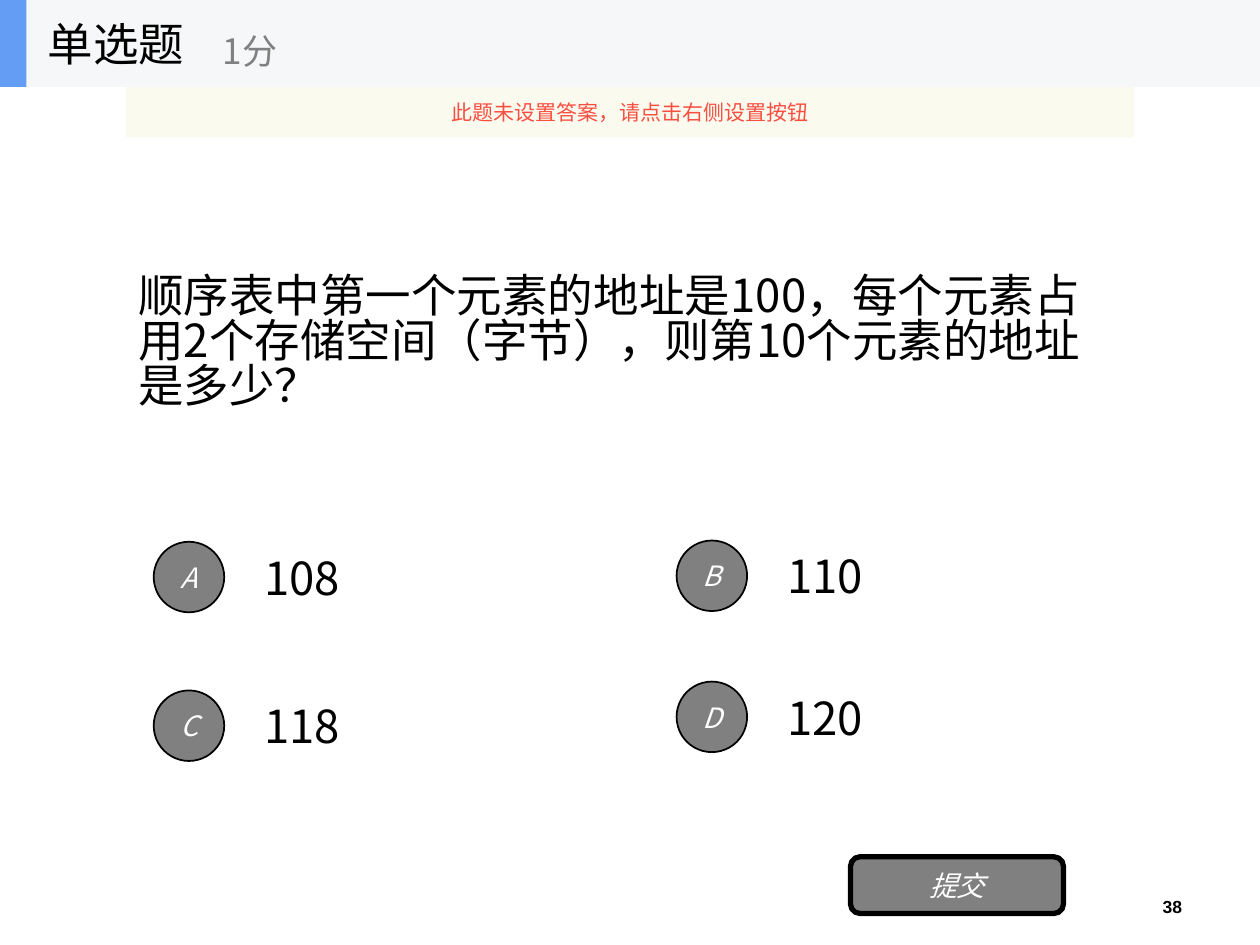
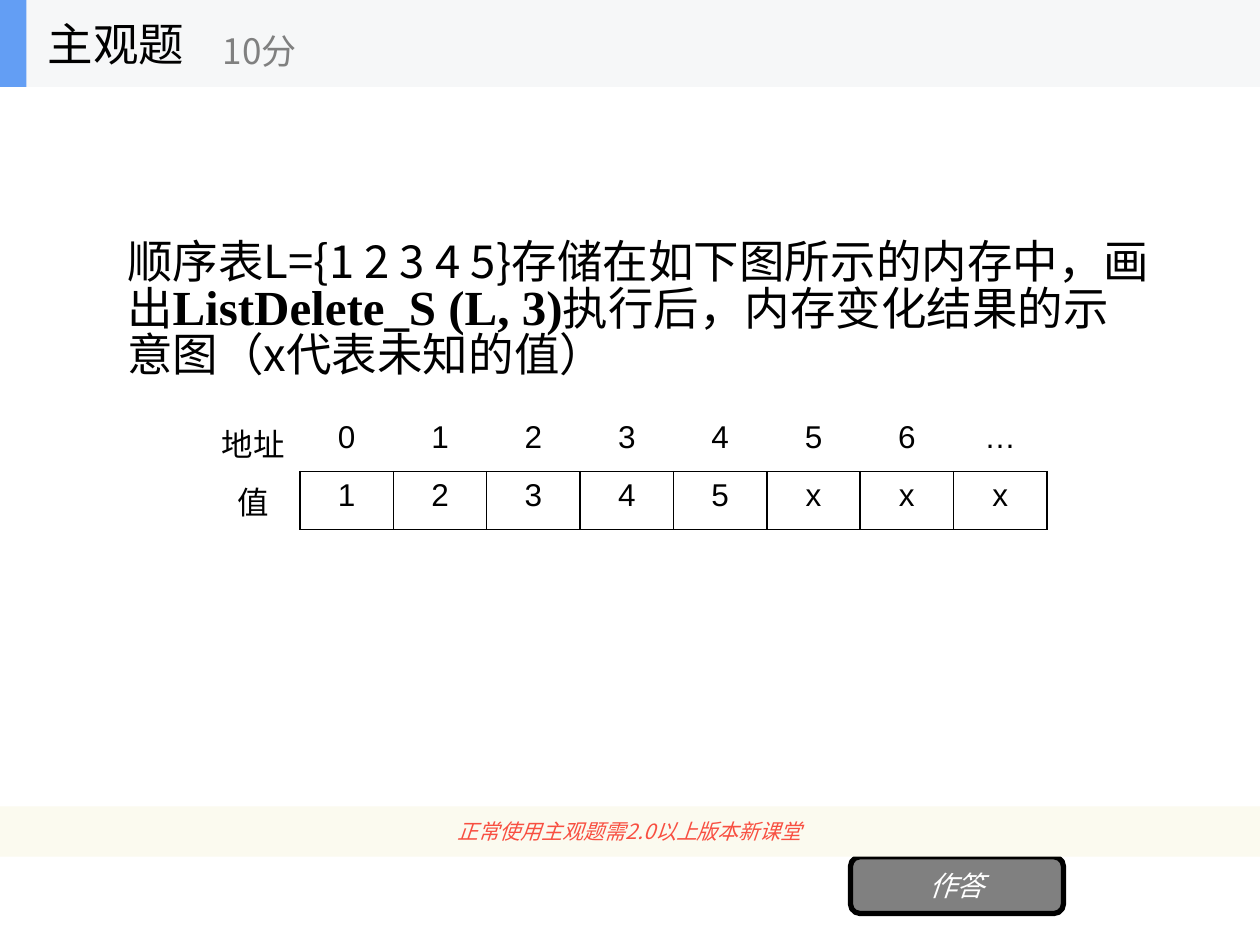
import pptx
import pptx.util
import pptx.dml.color
import pptx.enum.shapes
import pptx.enum.text
import pptx.oxml.ns
import lxml.etree

Inches, Pt = pptx.util.Inches, pptx.util.Pt
RGBColor = pptx.dml.color.RGBColor
SHAPE = pptx.enum.shapes.MSO_SHAPE
ALIGN = pptx.enum.text.PP_ALIGN
ANCHOR = pptx.enum.text.MSO_ANCHOR
qn = pptx.oxml.ns.qn

CJK, LATIN, SERIF = "Noto Sans CJK SC", "Arial", "Times New Roman"
BLACK = RGBColor(0x00, 0x00, 0x00)
WHITE = RGBColor(0xFF, 0xFF, 0xFF)
GREY = RGBColor(0x80, 0x80, 0x80)
BAND = RGBColor(0xF6, 0xF7, 0xF8)
ACCENT = RGBColor(0x63, 0x9E, 0xF4)
CREAM = RGBColor(0xFB, 0xFA, 0xEF)
RED = RGBColor(0xF8, 0x4F, 0x41)

BODY = {"name": CJK, "size": Pt(26), "color": BLACK}
CODE = {"name": SERIF, "size": Pt(28), "color": BLACK, "bold": True}
POINTS = {"name": CJK, "size": Pt(20), "color": GREY}
BUTTON = {"name": CJK, "size": Pt(16), "color": WHITE, "italic": True}
NOTICE = {"name": CJK, "size": Pt(12), "color": RED}
NUMBER = {"name": LATIN, "size": Pt(10), "color": BLACK, "bold": True}
CELL = {"name": LATIN, "size": Pt(18), "color": BLACK}
BODY_SPACING = 0.82

CHOICE = {
    "title": "单选题",
    "points": "1分",
    "question": [("顺序表中第一个元素的地址是100，每个元素占用2个存储空间（字节），"
                  "则第10个元素的地址是多少？", BODY)],
    "notice": "此题未设置答案，请点击右侧设置按钮",
    "button": "提交",
    "number": "38",
}
# letter, answer, left and top of the circle
OPTIONS = [
    ("A", "108", 1.22, 4.30),
    ("B", "110", 5.37, 4.29),
    ("C", "118", 1.22, 5.48),
    ("D", "120", 5.37, 5.41),
]
ESSAY = {
    "title": "主观题",
    "points": "10分",
    "question": [("顺序表L={1 2 3 4 5}存储在如下图所示的内存中，画出", BODY),
                 ("ListDelete_S (L, 3)", CODE),
                 ("执行后，内存变化结果的示意图（x代表未知的值）", BODY)],
    "notice": "正常使用主观题需2.0以上版本新课堂",
    "button": "作答",
}
MEMORY = [
    ["地址", "0", "1", "2", "3", "4", "5", "6", "…"],
    ["值", "1", "2", "3", "4", "5", "x", "x", "x"],
]


def set_font(font, style):
    for key, value in style.items():
        if key == "color":
            font.color.rgb = value
        else:
            setattr(font, key, value)
    if style["name"] == CJK:
        latin = font._element.find(qn("a:latin"))
        ea = lxml.etree.Element(qn("a:ea"), typeface=CJK)
        latin.addnext(ea)


def write(tf, runs, align=ALIGN.LEFT, anchor=ANCHOR.MIDDLE, spacing=None):
    """Fill a text frame with one paragraph of (text, style) runs."""
    tf.word_wrap = True
    tf.auto_size = pptx.enum.text.MSO_AUTO_SIZE.NONE
    tf.vertical_anchor = anchor
    p = tf.paragraphs[0]
    p.alignment = align
    if spacing:
        p.line_spacing = spacing
    for text, style in runs:
        r = p.add_run()
        r.text = text
        set_font(r.font, style)


def add_text(slide, box, runs, **layout):
    sp = slide.shapes.add_textbox(*map(Inches, box))
    write(sp.text_frame, runs, **layout)


def add_shape(slide, kind, box, fill, line=None, text=None, style=None):
    sp = slide.shapes.add_shape(kind, *map(Inches, box))
    sp.shadow.inherit = False
    sp.fill.solid()
    sp.fill.fore_color.rgb = fill
    if line:
        sp.line.color.rgb = BLACK
        sp.line.width = Pt(line)
    else:
        sp.line.fill.background()
    if text:
        tf = sp.text_frame
        for side in ("left", "right", "top", "bottom"):
            setattr(tf, "margin_" + side, 0)
        write(tf, [(text, style)], align=ALIGN.CENTER)


def add_question_slide(prs, content, question_box):
    """Add the header band, title, points, question and button."""
    slide = prs.slides.add_slide(prs.slide_layouts[5])
    add_shape(slide, SHAPE.RECTANGLE, (0, 0, 10, 0.69), BAND)
    add_shape(slide, SHAPE.RECTANGLE, (0, 0, 0.21, 0.69), ACCENT)
    title = slide.shapes.title
    title.left, title.top, title.width, title.height = map(
        Inches, (0.28, 0, 2.08, 0.69))
    write(title.text_frame, [(content["title"], BODY)])
    slide.shapes._spTree.append(title._element)  # in front of the band
    add_text(slide, (1.67, 0.12, 2.5, 0.56), [(content["points"], POINTS)])
    add_text(slide, question_box, content["question"], spacing=BODY_SPACING)
    add_shape(slide, SHAPE.ROUNDED_RECTANGLE, (6.75, 6.8, 1.69, 0.45), GREY,
              3, content["button"], BUTTON)
    return slide


def set_borders(cell, sides):
    """Draw black lines on the given sides (L, R, T, B), none on the others."""
    tcPr = cell._tc.get_or_add_tcPr()
    for i, side in enumerate("LRTB"):
        ln = lxml.etree.Element(qn("a:ln" + side), w=str(Pt(1)))
        if side in sides:
            fill = lxml.etree.SubElement(ln, qn("a:solidFill"))
            lxml.etree.SubElement(fill, qn("a:srgbClr"), val=str(BLACK))
        else:
            lxml.etree.SubElement(ln, qn("a:noFill"))
        tcPr.insert(i, ln)


def add_memory_table(slide):
    rows, cols = len(MEMORY), len(MEMORY[0])
    frame = slide.shapes.add_table(
        rows, cols, *map(Inches, (1.64, 3.28, 6.67, 0.81)))
    table = frame.table
    table.first_row = table.horz_banding = False
    for i, row in enumerate(MEMORY):
        for j, text in enumerate(row):
            cell = table.cell(i, j)
            cell.fill.background()
            write_cell(cell, text)
            if j == 0:
                set_borders(cell, "R" if i else "")
            else:
                set_borders(cell, "LRTB" if i else "B")


def write_cell(cell, text):
    p = cell.text_frame.paragraphs[0]
    p.alignment = ALIGN.CENTER
    r = p.add_run()
    r.text = text
    set_font(r.font, CELL)


def build_choice(prs):
    slide = add_question_slide(prs, CHOICE, (1, 1.56, 8, 2.34))
    for letter, answer, x, y in OPTIONS:
        add_shape(slide, SHAPE.OVAL, (x, y, 0.56, 0.56), GREY, 1, letter, BUTTON)
        add_text(slide, (x + 0.78, y - 0.07, 2.84, 0.7), [(answer, BODY)])
    add_shape(slide, SHAPE.RECTANGLE, (1, 0.69, 8, 0.4), CREAM,
              text=CHOICE["notice"], style=NOTICE)
    add_text(slide, (7.91, 7.06, 1.57, 0.22), [(CHOICE["number"], NUMBER)],
             align=ALIGN.RIGHT, anchor=ANCHOR.TOP)


def build_essay(prs):
    slide = add_question_slide(prs, ESSAY, (0.91, 0.69, 8.35, 3.56))
    add_shape(slide, SHAPE.RECTANGLE, (0, 6.4, 10, 0.4), CREAM,
              text=ESSAY["notice"], style={**NOTICE, "italic": True})
    add_memory_table(slide)


def main():
    prs = pptx.Presentation()
    prs.slide_width, prs.slide_height = Inches(10), Inches(7.5)
    build_choice(prs)
    build_essay(prs)
    prs.save("out.pptx")


if __name__ == "__main__":
    main()
